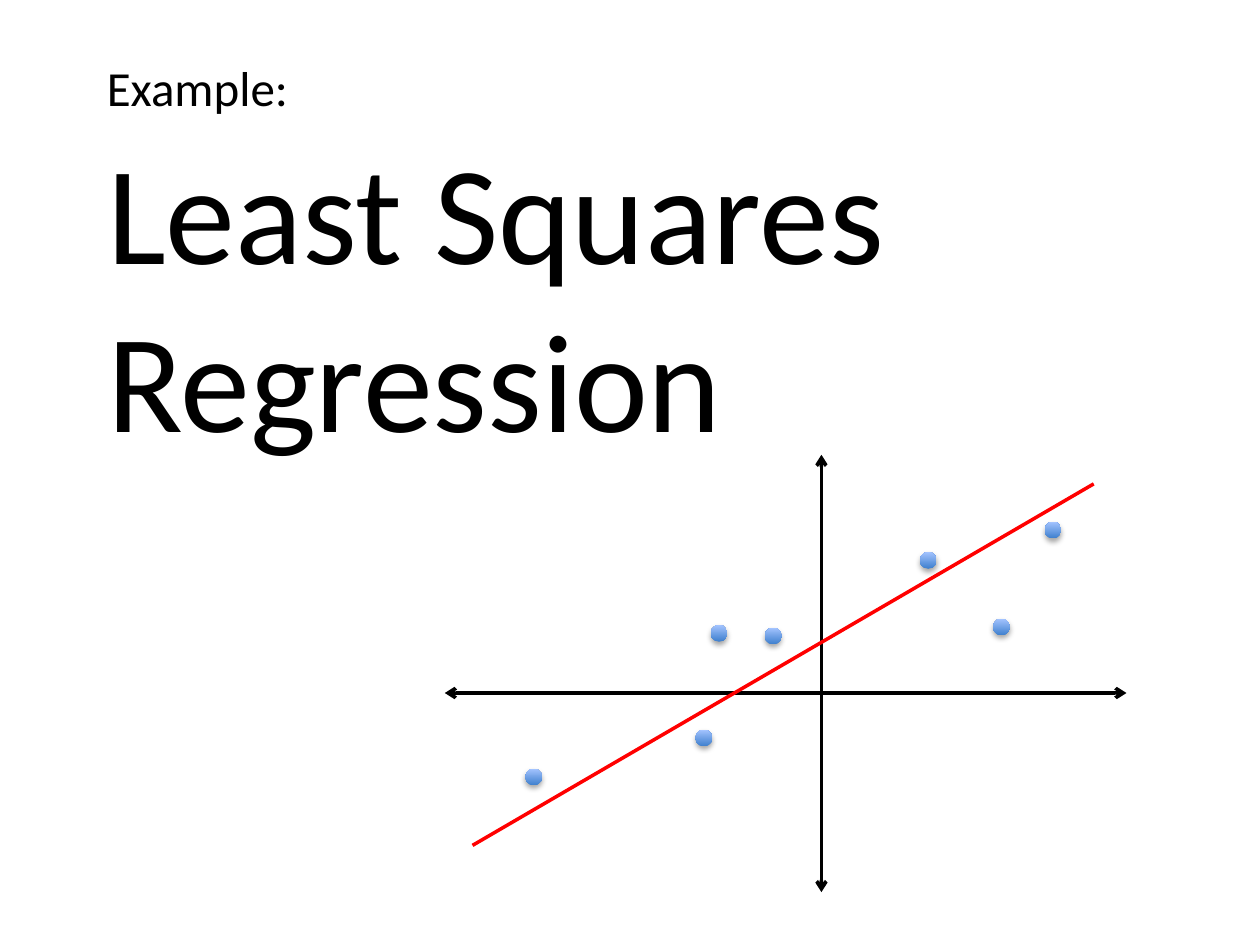
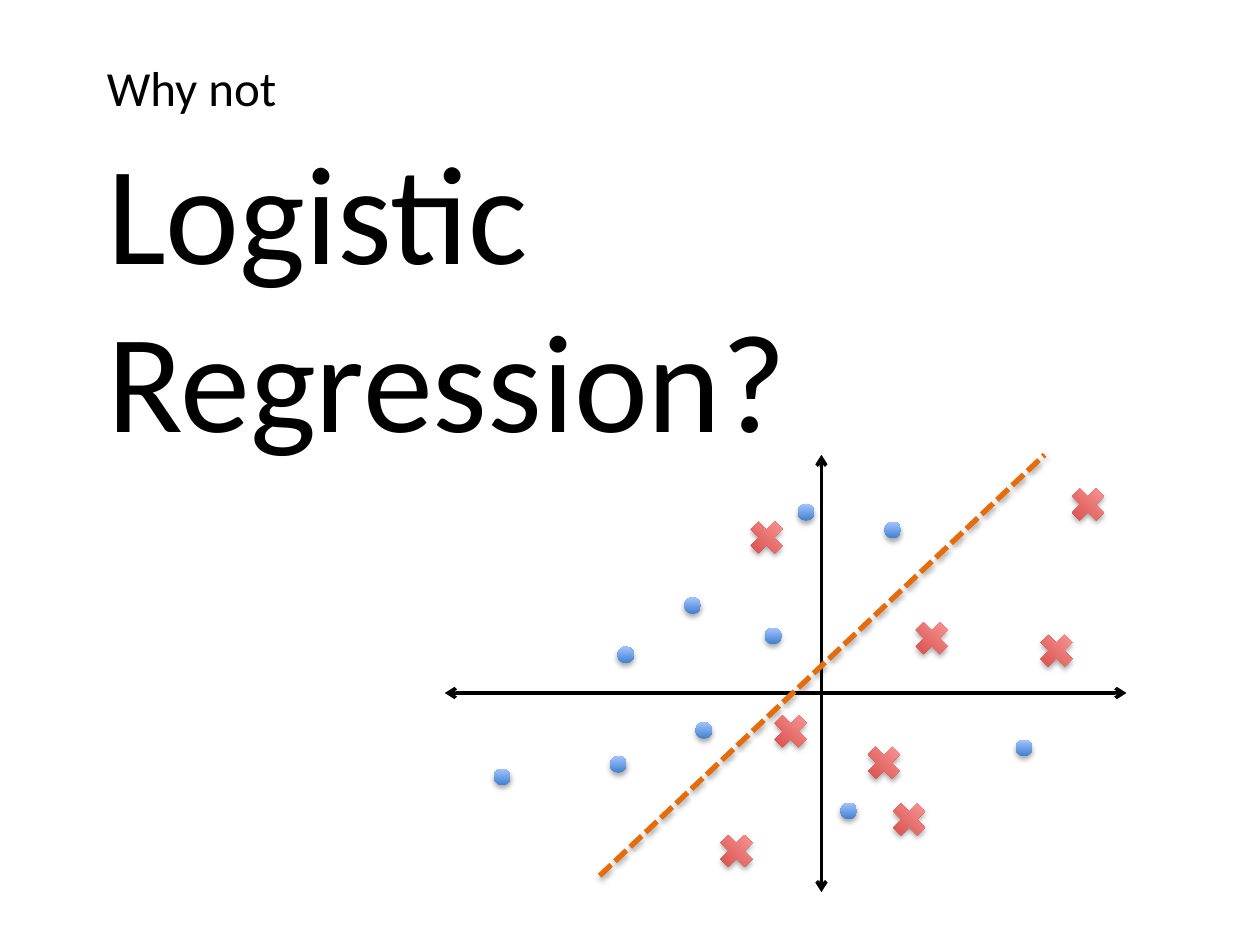
from dataclasses import dataclass

from lxml import etree
from pptx import Presentation
from pptx.dml.color import RGBColor
from pptx.enum.dml import MSO_LINE
from pptx.enum.shapes import MSO_CONNECTOR, MSO_SHAPE
from pptx.enum.text import MSO_ANCHOR, MSO_AUTO_SIZE, PP_ALIGN
from pptx.oxml.ns import qn
from pptx.shapes.base import BaseShape
from pptx.shapes.connector import Connector
from pptx.slide import Slide
from pptx.util import Pt

STRAIGHT = MSO_CONNECTOR.STRAIGHT
SHORT_DASH = MSO_LINE.SQUARE_DOT
OVAL, CROSS = MSO_SHAPE.OVAL, MSO_SHAPE.CROSS
TOP, MIDDLE = MSO_ANCHOR.TOP, MSO_ANCHOR.MIDDLE
LEFT = PP_ALIGN.LEFT
NO_AUTOFIT = MSO_AUTO_SIZE.NONE

BLACK = RGBColor(0x00, 0x00, 0x00)
RED = RGBColor(0xFF, 0x00, 0x00)
ORANGE = RGBColor(0xE4, 0x6C, 0x0A)
BLUE_DARK = RGBColor(0x3F, 0x80, 0xCE)
BLUE_LIGHT = RGBColor(0xA4, 0xC4, 0xFF)
ROSE_DARK = RGBColor(0xD1, 0x40, 0x3C)
ROSE_LIGHT = RGBColor(0xFF, 0xA6, 0xA5)

FONT = "Calibri"
TITLE_ONLY = 5
Point = tuple[float, float]


@dataclass(frozen=True)
class TextStyle:
    box: tuple[float, float, float, float]
    size: float
    anchor: MSO_ANCHOR


@dataclass(frozen=True)
class Marker:
    preset: MSO_SHAPE
    size: float
    dark: RGBColor
    light: RGBColor
    rotation: float = 0
    adjustment: float | None = None


@dataclass(frozen=True)
class Line:
    start: Point
    end: Point
    color: RGBColor
    width: float = 2
    dash: MSO_LINE | None = None
    arrows: bool = False
    shadow: bool = False


@dataclass(frozen=True)
class PlotSlide:
    lead_in: str
    title: str
    fit: Line
    dots: tuple[Point, ...]
    crosses: tuple[Point, ...] = ()


TITLE_STYLE = TextStyle((54, 66.2, 612, 202.3), 80, MIDDLE)
LEAD_IN_STYLE = TextStyle((54, 29.5, 504, 54), 28, TOP)
DOT = Marker(OVAL, 9.6, BLUE_DARK, BLUE_LIGHT)
X_MARK = Marker(CROSS, 19.4, ROSE_DARK, ROSE_LIGHT, 45, 0.34)
AXES = (
    Line((469.4, 259.9), (469.4, 509.8), BLACK, arrows=True),
    Line((254.2, 396), (643.7, 396), BLACK, arrows=True),
)

SLIDES = (
    PlotSlide(
        "Example:",
        "Least Squares Regression",
        Line((270, 483.1), (625, 276.5), RED),
        dots=((406.1, 357.1), (437, 358.6), (397.4, 416.9), (525.6, 315.4),
              (596.9, 298.1), (567.4, 353.5), (300.2, 439.2)),
    ),
    PlotSlide(
        "Why not",
        "Logistic Regression?",
        Line((342.7, 500.4), (596.9, 259.9), ORANGE, 3, SHORT_DASH, shadow=True),
        dots=((391, 341.3), (437, 358.6), (480.2, 458.6), (455.8, 288),
              (580.3, 422.6), (505.4, 298.1), (348.5, 432), (397.4, 412.6),
              (352.8, 369.4), (282.2, 439.2)),
        crosses=((411.1, 476.6), (495.4, 426.2), (509.8, 458.6), (442.1, 408.2),
                 (428.4, 297.4), (522.7, 355), (612, 278.6), (594, 362.2)),
    ),
)


def set_attributes(target: object, values: dict[str, object]) -> None:
    for name, value in values.items():
        setattr(target, name, value)


def write_text(shape: BaseShape, text: str, style: TextStyle) -> None:
    names = ("left", "top", "width", "height")
    set_attributes(shape, dict(zip(names, map(Pt, style.box))))
    frame = shape.text_frame
    set_attributes(frame, {"text": text, "word_wrap": True, "auto_size": NO_AUTOFIT,
                           "vertical_anchor": style.anchor})
    paragraph = frame.paragraphs[0]
    paragraph.alignment = LEFT
    set_attributes(paragraph.font, {"name": FONT, "size": Pt(style.size), "bold": False})
    paragraph.font.color.rgb = BLACK


def set_effects(shape: BaseShape, shadow: bool) -> None:
    """Replace the theme effects by a soft shadow below, or by none."""
    effects = etree.SubElement(shape._element.spPr, qn("a:effectLst"))
    if shadow:
        outer = etree.SubElement(effects, qn("a:outerShdw"), blurRad=str(Pt(3.1)),
                                 dist=str(Pt(1.8)), dir="5400000", rotWithShape="0")
        color = etree.SubElement(outer, qn("a:srgbClr"), val=str(BLACK))
        etree.SubElement(color, qn("a:alpha"), val="35000")


def add_line(slide: Slide, line: Line) -> Connector:
    connector = slide.shapes.add_connector(STRAIGHT, *map(Pt, line.start + line.end))
    connector.line.color.rgb = line.color
    set_attributes(connector.line, {"width": Pt(line.width), "dash_style": line.dash})
    if line.arrows:
        outline = connector.line._get_or_add_ln()
        for end in ("a:headEnd", "a:tailEnd"):
            etree.SubElement(outline, qn(end), type="arrow")
    set_effects(connector, line.shadow)
    return connector


def add_marker(slide: Slide, marker: Marker, position: Point) -> None:
    size = Pt(marker.size)
    shape = slide.shapes.add_shape(marker.preset, *map(Pt, position), size, size)
    shape.rotation = marker.rotation
    if marker.adjustment is not None:
        shape.adjustments[0] = marker.adjustment
    shape.fill.gradient()
    shape.fill.gradient_angle = 90
    for stop, color in zip(shape.fill.gradient_stops, (marker.dark, marker.light)):
        stop.color.rgb = color
    shape.line.fill.background()
    set_effects(shape, shadow=True)


def add_plot_slide(presentation: Presentation, content: PlotSlide) -> None:
    slide = presentation.slides.add_slide(presentation.slide_layouts[TITLE_ONLY])

    # Title and the small line above it
    write_text(slide.shapes.title, content.title, TITLE_STYLE)
    lead_in = slide.shapes.add_textbox(*map(Pt, LEAD_IN_STYLE.box))
    write_text(lead_in, content.lead_in, LEAD_IN_STYLE)

    # Axes, fitted line and data points
    for line in (*AXES, content.fit):
        add_line(slide, line)
    for marker, positions in ((DOT, content.dots), (X_MARK, content.crosses)):
        for position in positions:
            add_marker(slide, marker, position)


def main() -> None:
    presentation = Presentation()
    set_attributes(presentation, {"slide_width": Pt(720), "slide_height": Pt(540)})
    for content in SLIDES:
        add_plot_slide(presentation, content)
    presentation.save("out.pptx")


if __name__ == "__main__":
    main()
